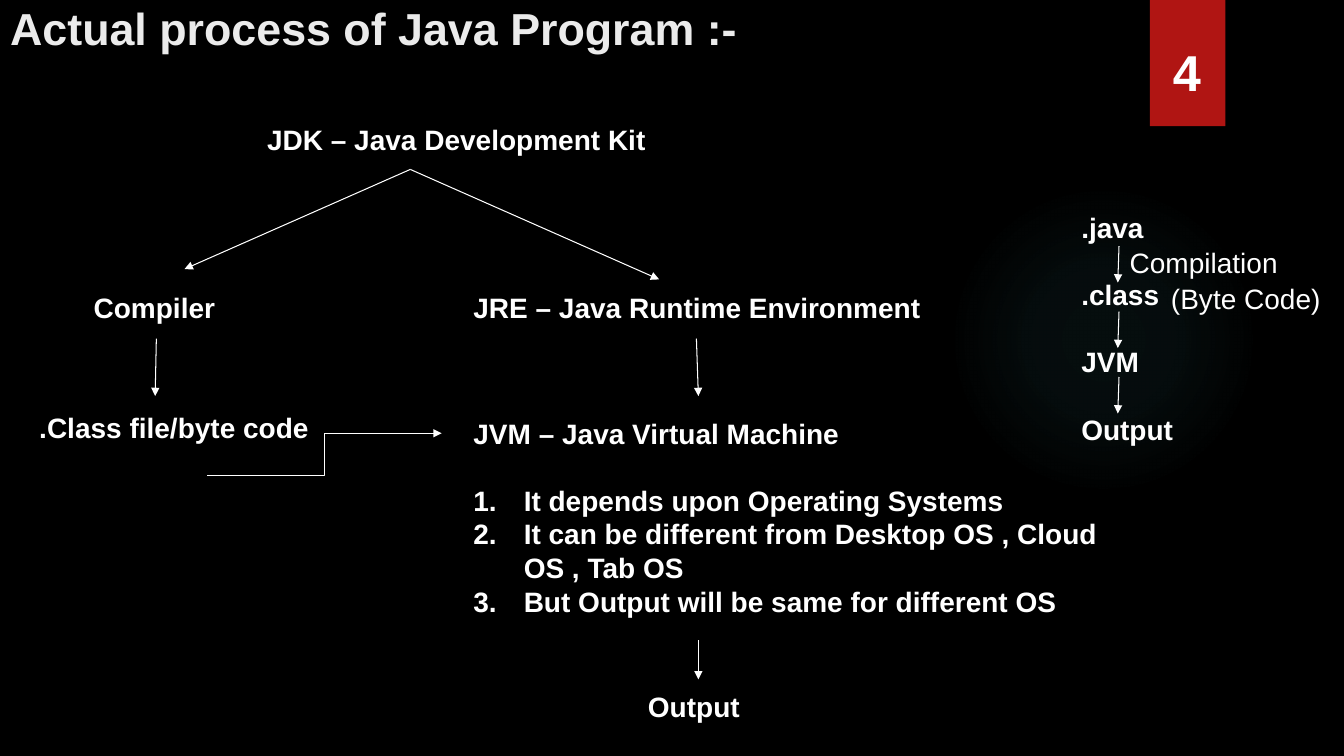
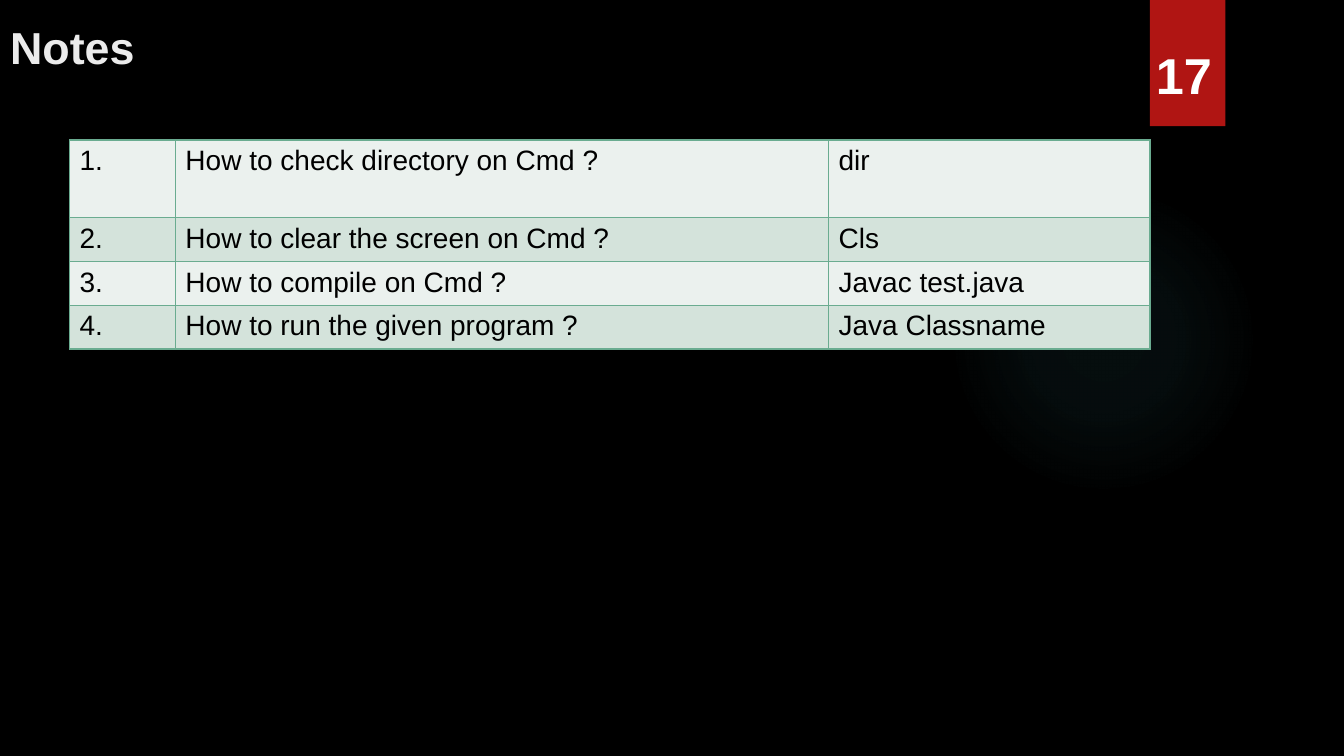
from dataclasses import dataclass

from lxml import etree
from pptx import Presentation
from pptx import util as u
from pptx.dml.color import RGBColor
from pptx.enum import shapes, text
from pptx.oxml import parse_xml
from pptx.oxml.ns import nsdecls, qn

FONT = "Arial"
WHITE, BLACK, TITLE_GREY = "FFFFFF", "000000", "EBEBEB"
BAND_RED, GLOW = "B01513", "50B9C1"
TABLE_BORDER, ROW_FILLS = "6AAC90", ("EBF1EE", "D4E3DB")
BODY_SIZE, TITLE_SIZE, NUMBER_SIZE = 20, 32, 36
LINE_GAP = 24  # one body line, in points


@dataclass(frozen=True)
class Line:
    text: str
    gap: float = 0
    numbered: bool = False


@dataclass(frozen=True)
class Label:
    """A text box, measured in centimetres."""
    left: float
    top: float
    width: float
    lines: tuple[Line, ...]
    height: float = 1.12
    bold: bool = True
    size: int = BODY_SIZE


@dataclass(frozen=True)
class Arrow:
    start: tuple[float, float]
    end: tuple[float, float]
    bent: bool = False


LABELS = (
    Label(6.48, 2.97, 12.83, (Line("JDK – Java Development Kit"),)),
    Label(2.11, 7.19, 5.08, (Line("Compiler"),)),
    Label(0.74, 10.21, 7.82, (Line(".Class file/byte code"),)),
    Label(11.68, 7.19, 12.73, (Line("JRE – Java Runtime Environment"),)),
    Label(11.68, 10.36, 16.76, (
        Line("JVM – Java Virtual Machine"),
        Line("It depends upon Operating Systems", LINE_GAP, True),
        Line("It can be different from Desktop OS , Cloud OS , Tab OS", numbered=True),
        Line("But Output will be same for different OS", numbered=True),
    ), 5.38),
    Label(16.08, 17.25, 5.72, (Line("Output"),)),
    Label(27, 5.18, 6.58, (
        Line(".java"),
        *(Line(step, LINE_GAP) for step in (".class", "JVM", "Output")),
    ), 6.25),
    Label(28.22, 6.07, 5.6, (Line("Compilation"),), bold=False),
    Label(29.26, 6.98, 4.6, (Line("(Byte Code)"),), bold=False),
)

KIT = (10.34, 4.27)
STEP_TOP, STEP_PITCH, STEP_LENGTH = 6.2, 1.65, 0.92
ARROWS = (
    Arrow(KIT, (4.65, 6.78)),
    Arrow(KIT, (16.61, 7.04)),
    Arrow((3.94, 8.53), (3.91, 9.98)),
    Arrow((17.55, 8.53), (17.6, 9.98)),
    Arrow((5.23, 11.99), (11.13, 10.92), bent=True),
    Arrow((17.6, 16.13), (17.6, 17.12)),
    *(Arrow((28.2, STEP_TOP + i * STEP_PITCH),
            (28.17, STEP_TOP + i * STEP_PITCH + STEP_LENGTH)) for i in range(3)),
)

NOTES = (
    ("1.", "How to check directory on Cmd ?", "dir"),
    ("2.", "How to clear the screen on Cmd ?", "Cls"),
    ("3.", "How to compile on Cmd ?", "Javac test.java"),
    ("4.", "How to run the given program ?", "Java Classname"),
)
COLUMN_WIDTHS = (2.67, 16.46, 8.1)
FIRST_ROW_HEIGHT, ROW_HEIGHT = 1.96, 1.1


def color(value: str) -> RGBColor:
    return RGBColor.from_string(value)


def add_run(paragraph, content: str, size: int, hex_color: str, bold: bool = False) -> None:
    run = paragraph.add_run()
    run.text = content
    run.font.name = FONT
    run.font.size = u.Pt(size)
    run.font.bold = bold
    run.font.color.rgb = color(hex_color)


def number_paragraph(paragraph) -> None:
    properties = paragraph._p.get_or_add_pPr()
    indent = u.Cm(1.27)
    properties.set("marL", str(indent))
    properties.set("indent", str(-indent))
    numbering = etree.SubElement(properties, qn("a:buAutoNum"))
    numbering.set("type", "arabicPeriod")


def add_label(slide, label: Label) -> None:
    box = slide.shapes.add_textbox(
        u.Cm(label.left), u.Cm(label.top), u.Cm(label.width), u.Cm(label.height))
    frame = box.text_frame
    frame.word_wrap = True
    for index, line in enumerate(label.lines):
        paragraph = frame.add_paragraph() if index else frame.paragraphs[0]
        if line.gap:
            paragraph.space_before = u.Pt(line.gap)
        if line.numbered:
            number_paragraph(paragraph)
        add_run(paragraph, line.text, label.size, WHITE, label.bold)


def add_arrow(slide, arrow: Arrow) -> None:
    kind = shapes.MSO_CONNECTOR.ELBOW if arrow.bent else shapes.MSO_CONNECTOR.STRAIGHT
    connector = slide.shapes.add_connector(
        kind, *(u.Cm(value) for value in (*arrow.start, *arrow.end)))
    connector.line.color.rgb = color(WHITE)
    connector.line.width = u.Pt(0.75)
    head = etree.SubElement(connector.line._get_or_add_ln(), qn("a:tailEnd"))
    head.set("type", "triangle")
    etree.SubElement(connector._element.spPr, qn("a:effectLst"))


def add_plain_shape(slide, kind, left: float, top: float, width: float, height: float):
    shape = slide.shapes.add_shape(
        kind, u.Cm(left), u.Cm(top), u.Cm(width), u.Cm(height))
    shape.shadow.inherit = False
    shape.line.fill.background()
    return shape


def add_glow(slide) -> None:
    glow = add_plain_shape(slide, shapes.MSO_SHAPE.OVAL, 23.9, 4.65, 7.82, 7.82)
    stops = "".join(
        f'<a:gs pos="{position * 1000}"><a:srgbClr val="{GLOW}">'
        f'<a:alpha val="{opacity * 1000}"/></a:srgbClr></a:gs>'
        for position, opacity in ((0, 7), (36, 6), (69, 0)))
    gradient = parse_xml(
        f'<a:gradFill {nsdecls("a")} rotWithShape="1"><a:gsLst>{stops}</a:gsLst>'
        '<a:path path="circle"><a:fillToRect l="50000" t="50000" r="50000" b="50000"/>'
        '</a:path></a:gradFill>')
    glow.fill.background()
    properties = glow._element.spPr
    properties.replace(properties.find(qn("a:noFill")), gradient)


def add_base_slide(presentation, heading: str, top: float, width: float, number: Label):
    """Title, glow, red band and page number, common to every slide."""
    slide = presentation.slides.add_slide(presentation.slide_layouts[5])
    add_glow(slide)
    band = add_plain_shape(slide, shapes.MSO_SHAPE.RECTANGLE, 28.98, 0, 1.9, 3.18)
    band.fill.solid()
    band.fill.fore_color.rgb = color(BAND_RED)

    title = slide.shapes.title
    title.left, title.top = u.Cm(0), u.Cm(top)
    title.width, title.height = u.Cm(width), u.Cm(2.08)
    frame = title.text_frame
    frame.word_wrap = True
    frame.auto_size = text.MSO_AUTO_SIZE.NONE
    frame.vertical_anchor = text.MSO_ANCHOR.TOP
    paragraph = frame.paragraphs[0]
    paragraph.alignment = text.PP_ALIGN.LEFT
    add_run(paragraph, heading, TITLE_SIZE, TITLE_GREY, bold=True)

    add_label(slide, number)
    return slide


def format_cell(cell, content: str, fill: str) -> None:
    cell.fill.solid()
    cell.fill.fore_color.rgb = color(fill)
    add_run(cell.text_frame.paragraphs[0], content, BODY_SIZE, BLACK)
    properties = cell._tc.get_or_add_tcPr()
    for index, side in enumerate(("lnL", "lnR", "lnT", "lnB")):
        properties.insert(index, parse_xml(
            f'<a:{side} {nsdecls("a")} w="{u.Pt(1)}"><a:solidFill>'
            f'<a:srgbClr val="{TABLE_BORDER}"/></a:solidFill></a:{side}>'))


def add_notes_table(slide) -> None:
    heights = (FIRST_ROW_HEIGHT,) + (ROW_HEIGHT,) * (len(NOTES) - 1)
    table = slide.shapes.add_table(
        len(NOTES), len(COLUMN_WIDTHS), u.Cm(1.75), u.Cm(3.53),
        u.Cm(sum(COLUMN_WIDTHS)), u.Cm(sum(heights))).table
    table.first_row = table.horz_banding = False
    for column, width in zip(table.columns, COLUMN_WIDTHS):
        column.width = u.Cm(width)
    for index, (row, height, note) in enumerate(zip(table.rows, heights, NOTES)):
        row.height = u.Cm(height)
        for cell, content in zip(row.cells, note):
            format_cell(cell, content, ROW_FILLS[index % 2])


def main() -> None:
    presentation = Presentation()
    presentation.slide_width, presentation.slide_height = u.Cm(33.87), u.Cm(19.05)
    background = presentation.slide_master.background.fill
    background.solid()
    background.fore_color.rgb = color(BLACK)

    # Process diagram
    process = add_base_slide(
        presentation, "Actual process of Java Program :-", -0.1, 28.45,
        Label(29.31, 0.91, 1.37, (Line("4"),), 1.8, size=NUMBER_SIZE))
    for label in LABELS:
        add_label(process, label)
    for arrow in ARROWS:
        add_arrow(process, arrow)

    # Command notes
    notes = add_base_slide(
        presentation, "Notes", 0.36, 27.3,
        Label(28.88, 0.99, 2.11, (Line("17"),), 1.8, size=NUMBER_SIZE))
    add_notes_table(notes)

    presentation.save("out.pptx")


if __name__ == "__main__":
    main()
